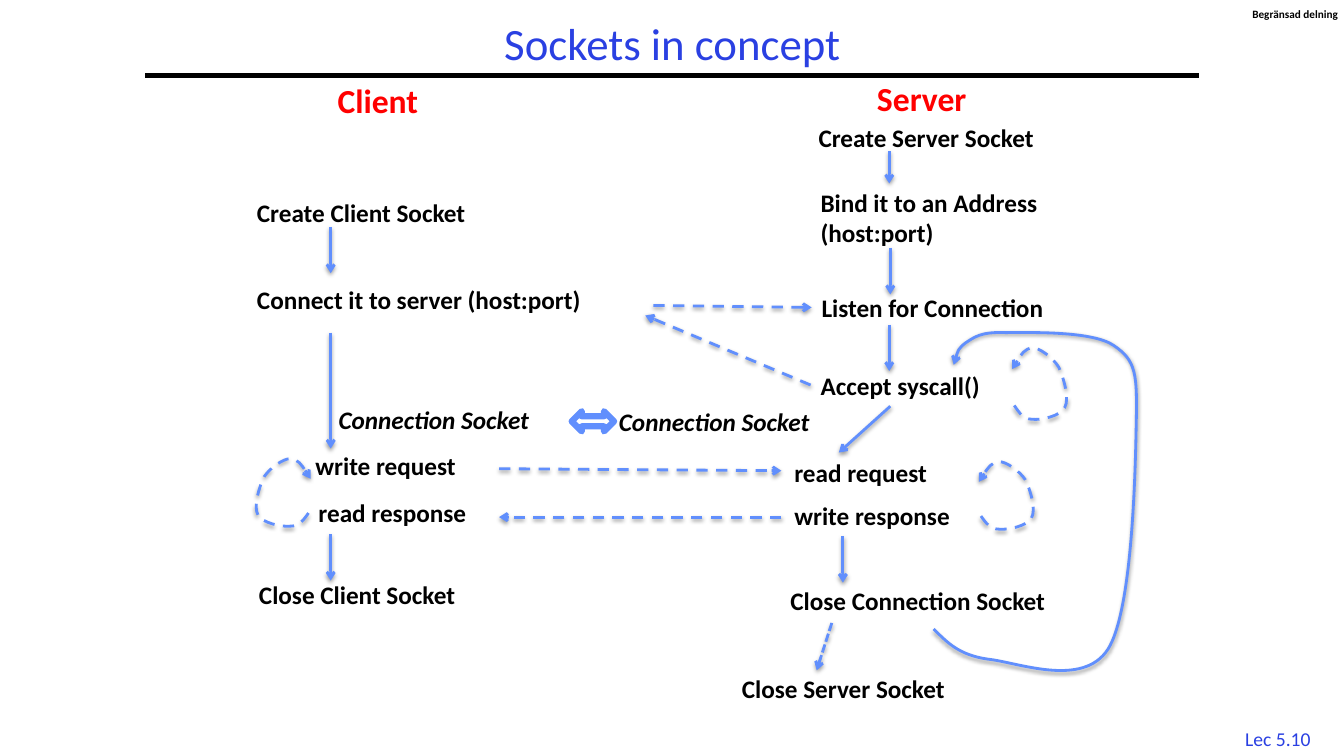
from collections import namedtuple

from lxml import etree
from pptx import Presentation
from pptx.dml.color import RGBColor
from pptx.enum.dml import MSO_LINE
from pptx.enum.shapes import MSO_CONNECTOR, MSO_SHAPE
from pptx.enum.text import MSO_ANCHOR, PP_ALIGN
from pptx.oxml import parse_xml
from pptx.oxml.ns import nsdecls, qn
from pptx.util import Inches, Pt

COLORS = {
    "title": "2A40E2",
    "heading": "FF0000",
    "text": "000000",
    "arrow": "618FFD",
    "paper": "FFFFFF",
}
STEP = {"size": Pt(18), "bold": True}
HEADING = {"size": Pt(24), "bold": True}
SOCKET = {"size": Pt(18), "bold": True, "italic": True}
LOOP_WIDTH, LOOP_HEIGHT = 0.54, 0.67
LOOP = [
    (0.02, 0.54), (0.07, 0.61), (0.11, 0.67), (0.2, 0.67),
    (0.28, 0.68), (0.48, 0.64), (0.52, 0.56),
    (0.57, 0.48), (0.51, 0.28), (0.46, 0.18),
    (0.4, 0.09), (0.27, 0), (0.2, 0),
    (0.12, 0.01), (0.06, 0.1), (0, 0.2),
]
ACCEPT_AGAIN = [
    (0, 2.94), (0.13, 3.07), (0.25, 3.2), (0.54, 3.24),
    (0.83, 3.27), (1.48, 3.53), (1.73, 3.14),
    (1.97, 2.76), (2, 1.41), (2.01, 0.91),
    (2.02, 0.41), (2.01, 0.28), (1.79, 0.13),
    (1.58, -0.02), (0.95, 0), (0.71, 0),
    (0.46, -0.01), (0.4, 0.05), (0.32, 0.1),
    (0.24, 0.16), (0.22, 0.24), (0.2, 0.32),
]
Box = namedtuple("Box", "left top width height")


def color(name):
    return RGBColor.from_string(COLORS[name])


def add_label(slide, box, text, style=STEP, tint="text", align=PP_ALIGN.LEFT,
              inset=None, spacing=None):
    shape = slide.shapes.add_textbox(*(Inches(value) for value in box))
    frame = shape.text_frame
    frame.word_wrap = True
    if inset is not None:
        for side in ("left", "top", "right", "bottom"):
            setattr(frame, f"margin_{side}", Inches(inset))
    frame.text = text
    for paragraph in frame.paragraphs:
        paragraph.alignment = align
        paragraph.line_spacing = spacing
        for name, value in {"name": "Calibri", **style}.items():
            setattr(paragraph.font, name, value)
        paragraph.font.color.rgb = color(tint)
    return shape


def style_arrow(shape, dash):
    shape.line.color.rgb = color("arrow")
    shape.line.width = Pt(2)
    if dash:
        shape.line.dash_style = dash
    properties = shape._element.spPr
    properties.find(qn("a:ln")).append(
        parse_xml(f'<a:tailEnd {nsdecls("a")} type="arrow"/>'))
    properties.append(parse_xml(
        f'<a:effectLst {nsdecls("a")}>'
        f'<a:outerShdw blurRad="{Pt(3.1)}" dist="{Pt(1.6)}" dir="5400000" rotWithShape="0">'
        '<a:srgbClr val="000000"><a:alpha val="38000"/></a:srgbClr>'
        '</a:outerShdw></a:effectLst>'))


def add_arrow(slide, box, start, end, dash=None):
    points = [Inches(value) for x, y in (start, end)
              for value in (box.left + x, box.top + y)]
    style_arrow(slide.shapes.add_connector(MSO_CONNECTOR.STRAIGHT, *points), dash)


def add_curve(slide, box, points, dash=None):
    builder = slide.shapes.build_freeform(Inches(box.left), Inches(box.top))
    corner = Inches(box.left + box.width), Inches(box.top + box.height)
    builder.add_line_segments([corner], close=False)
    shape = builder.convert_to_shape()
    outline = next(shape._element.iter(qn("a:path")))
    for child in list(outline):
        outline.remove(child)
    segments = [("a:moveTo", points[:1])]
    segments += [("a:cubicBezTo", points[first:first + 3]) for first in range(1, len(points), 3)]
    for tag, group in segments:
        segment = etree.SubElement(outline, qn(tag))
        for x, y in group:
            etree.SubElement(segment, qn("a:pt"), x=str(Inches(x)), y=str(Inches(y)))
    shape.fill.background()
    style_arrow(shape, dash)


def add_loop(slide, box, mirrored=False):
    points = [(LOOP_WIDTH - x if mirrored else x, y * box.height / LOOP_HEIGHT)
              for x, y in LOOP]
    add_curve(slide, box, points, MSO_LINE.DASH)


def add_labels(slide, box, labels):
    for left, top, width, text in labels:
        height = 0.71 if "\n" in text else 0.4
        add_label(slide, (box.left + left, box.top + top, width, height), text)


def add_frame(slide, box):
    title = add_label(slide, (box.left + 1.45, box.top + 0.17, 10.44, 0.58),
                      "Sockets in concept", {"size": Pt(32)}, "title",
                      PP_ALIGN.CENTER, spacing=0.9)
    title.text_frame.vertical_anchor = MSO_ANCHOR.MIDDLE
    rule = slide.shapes.add_connector(
        MSO_CONNECTOR.STRAIGHT, Inches(box.left + 1.44), Inches(box.top + 0.75),
        Inches(box.left + 11.89), Inches(box.top + 0.75))
    rule.line.color.rgb = color("text")
    rule.line.width = Pt(3)
    rule._element.spPr.append(parse_xml(f'<a:effectLst {nsdecls("a")}/>'))
    add_label(slide, (box.left + box.width - 0.91, box.top + 0.07, 0.88, 0.13),
              "Begränsad delning", {"size": Pt(8), "bold": True}, inset=0)
    add_label(slide, (box.left + box.width - 1.14, box.top + box.height - 0.34, 0.97, 0.33),
              "Lec 5.10", {"size": Pt(14)}, "title", PP_ALIGN.CENTER)


def add_client(slide, box):
    add_label(slide, (box.left + 0.8, box.top, 1.14, 0.5), "Client", HEADING, "heading")
    add_labels(slide, box, [
        (0, 1.17, 2.66, "Create Client Socket"),
        (0, 2.03, 3.92, "Connect it to server (host:port)"),
        (0.58, 3.68, 1.77, "write request"),
        (0.61, 4.14, 1.91, "read response"),
        (0.02, 4.96, 2.57, "Close Client Socket"),
    ])
    add_label(slide, (box.left + 0.81, box.top + 3.22, 2.49, 0.4), "Connection Socket", SOCKET)
    for start, end in ((1.51, 1.97), (2.56, 3.71), (4.56, 5.02)):
        add_arrow(slide, box, (0.83, start), (0.83, end))
    add_loop(slide, Box(box.left + 0.09, box.top + 3.81, LOOP_WIDTH, LOOP_HEIGHT), mirrored=True)


def add_server(slide, box):
    add_label(slide, (box.left + 1.34, box.top, 1.3, 0.5), "Server", HEADING, "heading")
    add_labels(slide, box, [
        (0.76, 0.44, 2.74, "Create Server Socket"),
        (0.78, 1.09, 2.8, "Bind it to an Address\n(host:port)"),
        (0.79, 2.13, 2.8, "Listen for Connection"),
        (0.78, 2.9, 2.13, "Accept syscall()"),
        (0.52, 3.77, 1.77, "read request"),
        (0.52, 4.19, 1.99, "write response"),
        (0.48, 5.04, 3.25, "Close Connection Socket"),
        (0, 5.91, 2.7, "Close Server Socket"),
    ])
    for x, start, end in ((1.56, 0.78, 1.1), (1.57, 1.74, 2.2),
                          (1.56, 2.5, 2.96), (1.1, 4.6, 5.06)):
        add_arrow(slide, box, (x, start), (x, end))
    add_arrow(slide, box, (1.57, 3.31), (1.06, 3.77))
    add_arrow(slide, box, (0.99, 5.46), (0.84, 5.93), MSO_LINE.SQUARE_DOT)
    add_loop(slide, Box(box.left + 2.78, box.top + 2.73, LOOP_WIDTH, 0.71))
    add_loop(slide, Box(box.left + 2.45, box.top + 3.86, LOOP_WIDTH, LOOP_HEIGHT))
    add_curve(slide, Box(box.left + 2, box.top + 2.58, 2.01, 3.36), ACCEPT_AGAIN)


def add_exchange(slide, box):
    for start, end in (((1.53, 0), (3.1, 0.02)), ((3.09, 0.79), (1.45, 0.1)),
                       ((0, 1.62), (2.8, 1.64)), ((2.8, 2.1), (0, 2.1))):
        add_arrow(slide, box, start, end, MSO_LINE.DASH)
    add_label(slide, (box.left + 1.09, box.top + 0.95, 2.49, 0.4), "Connection Socket", SOCKET)
    link = slide.shapes.add_shape(
        MSO_SHAPE.LEFT_RIGHT_ARROW, Inches(box.left + 0.72), Inches(box.top + 1.05),
        Inches(0.42), Inches(0.2))
    link.shadow.inherit = False
    link.fill.solid()
    link.fill.fore_color.rgb = color("paper")
    link.line.color.rgb = color("arrow")
    link.line.width = Pt(4.5)


def main():
    presentation = Presentation()
    presentation.slide_width = Inches(13.33)
    presentation.slide_height = Inches(7.5)
    slide = presentation.slides.add_slide(presentation.slide_layouts[6])
    add_frame(slide, Box(0, 0, 13.33, 7.5))
    add_client(slide, Box(2.45, 0.74, 3.92, 5.35))
    add_server(slide, Box(7.26, 0.72, 4.02, 6.31))
    add_exchange(slide, Box(4.95, 3.03, 3.1, 2.11))
    presentation.save("out.pptx")


if __name__ == "__main__":
    main()
